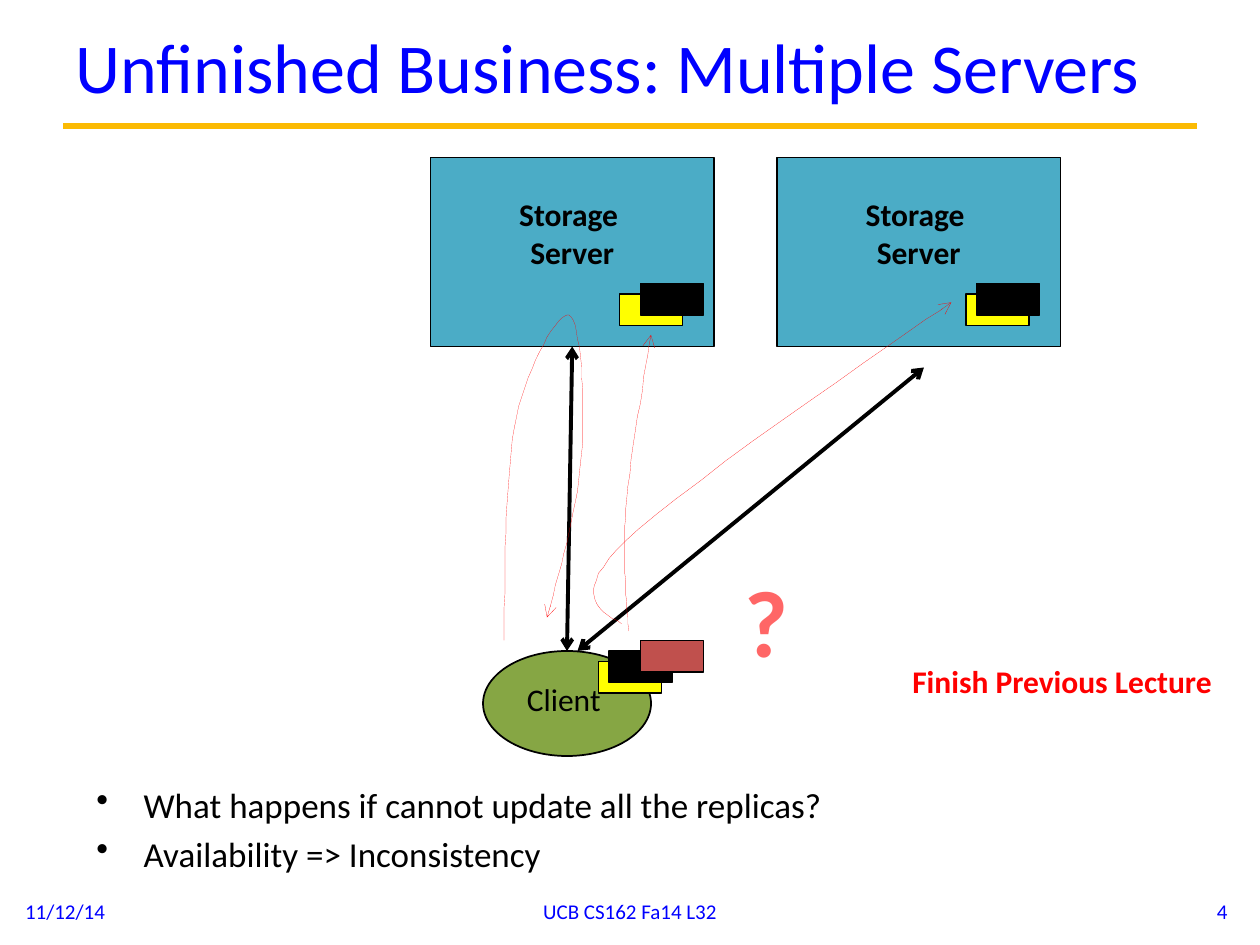
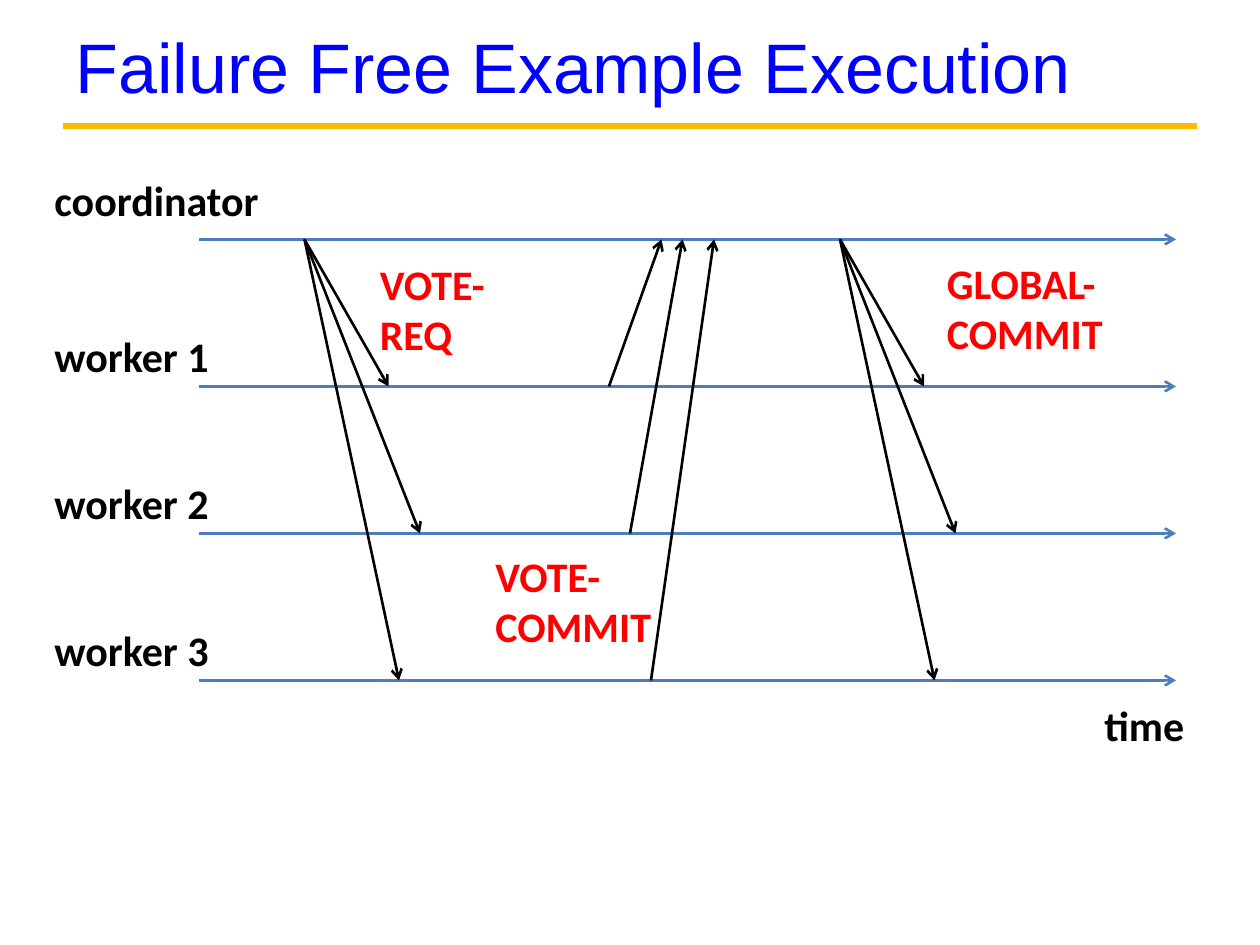
from lxml import etree
from pptx import Presentation
from pptx.dml.color import RGBColor
from pptx.enum.shapes import MSO_CONNECTOR, MSO_SHAPE
from pptx.enum.text import MSO_ANCHOR, MSO_AUTO_SIZE, PP_ALIGN
from pptx.oxml.ns import qn
from pptx.util import Pt

PX = 7620  # EMU in one px, 120 px to the inch
WHITE = RGBColor(0xFF, 0xFF, 0xFF)
BLACK = RGBColor(0x00, 0x00, 0x00)
BLUE = RGBColor(0x00, 0x00, 0xFF)
GOLD = RGBColor(0xFB, 0xBA, 0x03)
RED = RGBColor(0xFF, 0x00, 0x00)
ROSE = RGBColor(0xFF, 0x66, 0x66)
BRICK = RGBColor(0xC0, 0x50, 0x4D)
TEAL = RGBColor(0x4B, 0xAC, 0xC6)
GREEN = RGBColor(0x86, 0xA6, 0x44)
YELLOW = RGBColor(0xFF, 0xFF, 0x00)
STEEL = RGBColor(0x4B, 0x7E, 0xBC)

RECT, OVAL = MSO_SHAPE.RECTANGLE, MSO_SHAPE.OVAL
LINE = MSO_CONNECTOR.STRAIGHT
LEFT, MID, RIGHT = PP_ALIGN.LEFT, PP_ALIGN.CENTER, PP_ALIGN.RIGHT
TOP, CENTER = MSO_ANCHOR.TOP, MSO_ANCHOR.MIDDLE
GROW, FIXED = MSO_AUTO_SIZE.SHAPE_TO_FIT_TEXT, MSO_AUTO_SIZE.NONE


def put_text(frame, text, size=18, color=BLACK, bold=False, font="Calibri",
             align=LEFT, anchor=TOP, wrap=True, fit=GROW, bullet=None):
    """Fill a text frame, one paragraph to each line of text."""
    frame.word_wrap = wrap
    frame.auto_size = fit
    frame.vertical_anchor = anchor
    for i, part in enumerate(text.split("\n")):
        para = frame.add_paragraph() if i else frame.paragraphs[0]
        para.alignment = align
        run = para.add_run()
        run.text = part
        run.font.name, run.font.size = font, Pt(size)
        run.font.bold = bold
        run.font.color.rgb = color
        if bullet:
            para.space_before = Pt(size / 5)
            props = para._p.get_or_add_pPr()
            props.set("marL", str(45 * PX))
            props.set("indent", str(-45 * PX))
            etree.SubElement(props, qn("a:buChar"), char=bullet)


def add_tips(line, *ends):
    """Put open arrowheads on the named ends of a line."""
    node = line.line._get_or_add_ln()
    for end in ends:
        etree.SubElement(node, qn("a:" + end), type="arrow")


def trace(start, parts, steps=16):
    """Give points along a chain of cubic curves."""
    points = [start]
    for one, two, end in parts:
        a = points[-1]
        for i in range(1, steps + 1):
            t = i / steps
            u = 1 - t
            points.append(tuple(
                u**3 * p + 3 * u * u * t * q + 3 * u * t * t * r + t**3 * s
                for p, q, r, s in zip(a, one, two, end)))
    return points


class Deck:
    def __init__(self):
        self.file = Presentation()
        self.file.slide_width, self.file.slide_height = 1200 * PX, 900 * PX
        self.slide = None

    def page(self, title, font="Calibri"):
        self.slide = self.file.slides.add_slide(self.file.slide_layouts[5])
        back = self.slide.background.fill
        back.solid()
        back.fore_color.rgb = WHITE
        self.line((60, 120), (1140, 120), GOLD, 3.75)
        head = self.slide.shapes.title
        head.left, head.top = 60 * PX, 5 * PX
        head.width, head.height = 1080 * PX, 115 * PX
        put_text(head.text_frame, title, size=40, color=BLUE, font=font,
                 anchor=CENTER, fit=FIXED)

    def text(self, text, x, y, w, h, **style):
        box = self.slide.shapes.add_textbox(x * PX, y * PX, w * PX, h * PX)
        put_text(box.text_frame, text, **style)

    def shape(self, kind, x, y, w, h, fill):
        item = self.slide.shapes.add_shape(kind, x * PX, y * PX, w * PX, h * PX)
        item.shadow.inherit = False
        item.fill.solid()
        item.fill.fore_color.rgb = fill
        item.line.color.rgb = BLACK
        item.line.width = Pt(1)

    def block(self, x, y, fill):
        self.shape(RECT, x, y, 60, 30, fill)

    def line(self, start, end, color=BLACK, width=1.5, tips=()):
        item = self.slide.shapes.add_connector(
            LINE, *(v * PX for v in (*start, *end)))
        item.line.color.rgb = color
        item.line.width = Pt(width)
        add_tips(item, *tips)
        etree.SubElement(item._element.spPr, qn("a:effectLst"))

    def curve(self, start, *parts):
        points = trace(start, parts)
        pen = self.slide.shapes.build_freeform(*points[0], scale=PX)
        pen.add_line_segments(points[1:], close=False)
        item = pen.convert_to_shape()
        item.shadow.inherit = False
        item.fill.background()
        item.line.color.rgb = RED
        add_tips(item, "tailEnd")
        # Without a theme style the line is drawn at its thinnest
        item.element.remove(item.element.find(qn("p:style")))


def servers(deck):
    deck.page("Unfinished Business: Multiple Servers")
    deck.text("What happens if cannot update all the replicas?\n"
              "Availability => Inconsistency",
              80, 740, 1010, 90, size=20, fit=FIXED, bullet="•")

    # Footer
    for text, x, w, align in (("11/12/14", 12, 280, LEFT),
                              ("UCB CS162 Fa14 L32", 410, 380, MID),
                              ("4", 901, 280, RIGHT)):
        deck.text(text, x, 844, w, 48, size=12, color=BLUE, align=align,
                  anchor=CENTER, fit=FIXED)

    # Client and servers
    deck.shape(OVAL, 460, 620, 160, 100, GREEN)
    deck.text("Client", 490, 642, 102, 48, wrap=False)
    for x in (410, 740):
        deck.shape(RECT, x, 150, 270, 180, TEAL)
        deck.text("Storage \nServer", x + 38, 180, 194, 85, bold=True,
                  align=MID, wrap=False)
    for start, end in (((540, 620), (545, 330)), ((550, 620), (880, 350))):
        deck.line(start, end, width=2.25, tips=("headEnd", "tailEnd"))

    # Replicas
    for x, y in ((590, 280), (920, 280), (570, 630)):
        deck.block(x, y, YELLOW)
    for x, y in ((580, 620), (610, 270), (930, 270)):
        deck.block(x, y, BLACK)

    # Read and update paths
    deck.curve((480, 610),
               ((481, 529), (481, 449), (492, 397)),
               ((503, 346), (533, 295), (542, 300)),
               ((553, 306), (558, 383), (554, 431)),
               ((551, 479), (536, 533), (521, 588)))
    deck.curve((599, 601),
               ((596, 565), (593, 530), (596, 484)),
               ((600, 436), (620, 319), (620, 319)))
    deck.curve((592, 594),
               ((568, 580), (545, 565), (596, 515)),
               ((649, 463), (906, 288), (906, 288)))
    deck.block(610, 610, BRICK)

    # Remarks
    deck.text("?", 690, 530, 79, 121, size=54, color=ROSE, bold=True,
              align=MID, wrap=False)
    deck.text("Finish Previous Lecture", 857, 625, 313, 48, color=RED,
              bold=True, wrap=False)


def commit(deck):
    deck.page("Failure Free Example Execution", font="Arial")
    label = dict(size=24, bold=True)
    tip = ("tailEnd",)

    # Time lines
    rows = [228 + 140 * i for i in range(4)]
    for y in rows:
        deck.line((190, y), (1120, y), STEEL, tips=tip)
    deck.text("coordinator", 40, 160, 240, 61, **label)
    for i, y in enumerate(rows[1:], 1):
        deck.text(f"worker {i}", 40, y - 59, 190, 61, **label)
    deck.text("time", 1040, 660, 110, 61, **label)

    # Messages to the workers, then their replies
    for x in (290, 800):
        for step, y in zip((80, 110, 90), rows[1:]):
            deck.line((x, rows[0]), (x + step, y), tips=tip)
    for x, end, y in zip((580, 600, 620), (630, 650, 680), rows[1:]):
        deck.line((x, y), (end, rows[0]), tips=tip)

    # Message names
    for text, x, y, w in (("VOTE-REQ", 350, 240, 160),
                          ("VOTE-COMMIT", 460, 518, 190),
                          ("GLOBAL-COMMIT", 890, 239, 200)):
        deck.text(text, x, y, w, 109, color=RED, **label)


def main():
    deck = Deck()
    servers(deck)
    commit(deck)
    deck.file.save("out.pptx")


if __name__ == "__main__":
    main()
